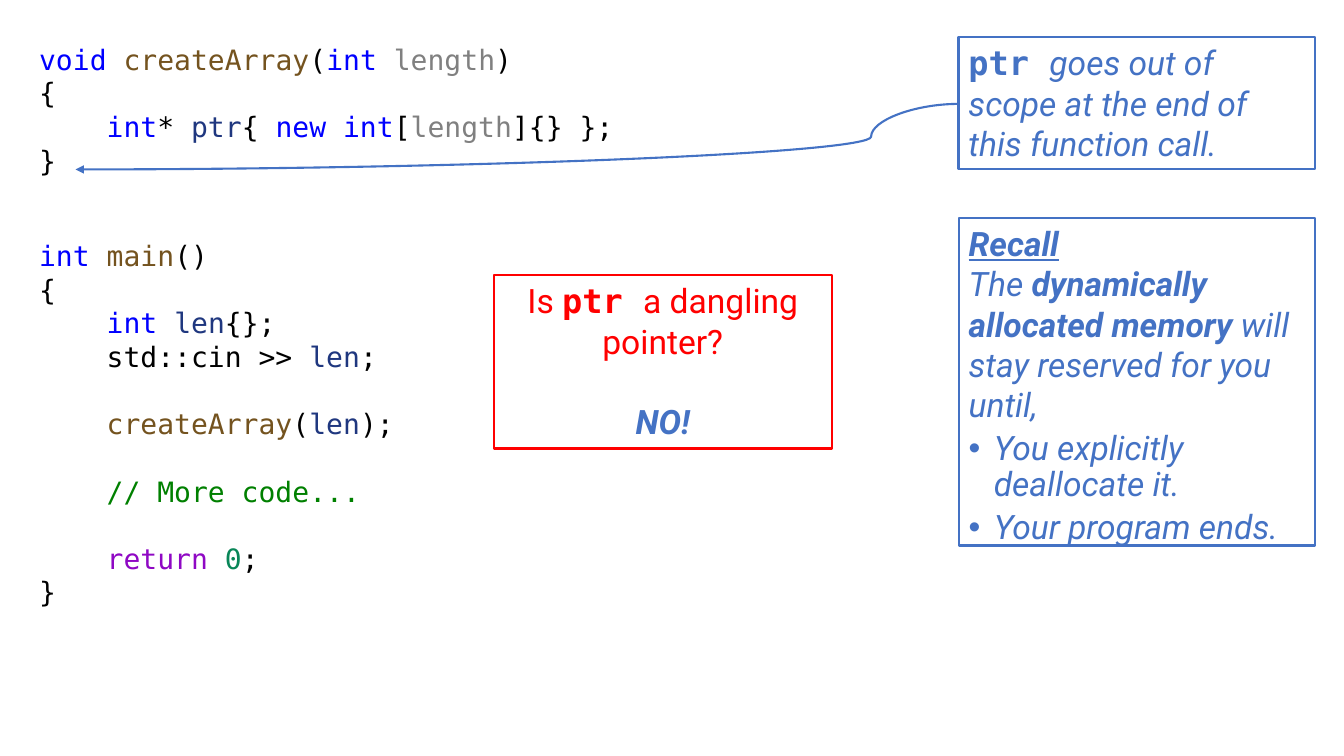
from dataclasses import dataclass
from lxml.etree import SubElement
from pptx import Presentation
from pptx.dml.color import RGBColor
from pptx.enum.shapes import MSO_CONNECTOR, MSO_SHAPE
from pptx.enum.text import MSO_ANCHOR, MSO_AUTO_SIZE, PP_ALIGN
from pptx.oxml.ns import qn
from pptx.util import Pt


@dataclass(frozen=True)
class Theme:
    blue: str = "4472C4"
    red: str = "FF0000"
    plain: str = "000000"
    word: str = "0000FF"
    call: str = "74531F"
    param: str = "808080"
    local: str = "1F377F"
    remark: str = "008000"
    flow: str = "8F08C4"
    digit: str = "098658"
    mono: str = "DejaVu Sans Mono"
    sans: str = "Roboto"
    small: int = 20
    large: int = 24
    stroke: float = 1.5


THEME = Theme()
GAP = 24

MAKER = [
    (0, [("void ", "word"), ("createArray", "call"), ("(", "plain"),
         ("int ", "word"), ("length", "param"), (")", "plain")]),
    (0, [("{", "plain")]),
    (0, [("    int", "word"), ("* ", "plain"), ("ptr", "local"), ("{ ", "plain"),
         ("new int", "word"), ("[", "plain"), ("length", "param"), ("]{} };", "plain")]),
    (0, [("}", "plain")]),
]

CALLER = [
    (0, [("int ", "word"), ("main", "call"), ("()", "plain")]),
    (0, [("{", "plain")]),
    (0, [("    int ", "word"), ("len", "local"), ("{};", "plain")]),
    (0, [("    std::cin >> ", "plain"), ("len", "local"), (";", "plain")]),
    (GAP, [("    createArray", "call"), ("(", "plain"), ("len", "local"), (");", "plain")]),
    (GAP, [("    // More code...", "remark")]),
    (GAP, [("    return ", "flow"), ("0", "digit"), (";", "plain")]),
    (0, [("}", "plain")]),
]


def tint(name):
    return RGBColor.from_string(getattr(THEME, name))


def set_frame(shape):
    frame = shape.text_frame
    frame.word_wrap = True
    frame.auto_size = MSO_AUTO_SIZE.SHAPE_TO_FIT_TEXT
    frame.vertical_anchor = MSO_ANCHOR.TOP
    frame.margin_left = frame.margin_right = Pt(7.2)
    frame.margin_top = frame.margin_bottom = Pt(3.6)
    return frame


def next_par(frame):
    first = frame.paragraphs[0]
    return frame.add_paragraph() if first.runs else first


def add_code(slide, box, rows):
    frame = set_frame(slide.shapes.add_textbox(*map(Pt, box)))
    for gap, parts in rows:
        par = next_par(frame)
        if gap:
            par.space_before = Pt(gap)
        par.font.size = Pt(THEME.small)
        par.font.name = THEME.mono
        for text, role in parts:
            run = par.add_run()
            run.text = text
            run.font.color.rgb = tint(role)


def set_border(shape, hue):
    shape.fill.background()
    shape.line.color.rgb = tint(hue)
    shape.line.width = Pt(THEME.stroke)


def add_box(slide, box, hue):
    shape = slide.shapes.add_shape(MSO_SHAPE.RECTANGLE, *map(Pt, box))
    shape.shadow.inherit = False
    set_border(shape, hue)
    return set_frame(shape)


def set_bullet(par, mark):
    props = par._p.get_or_add_pPr()
    props.set("marL", str(Pt(18) if mark else 0))
    props.set("indent", str(-Pt(18) if mark else 0))
    if mark:
        SubElement(props, qn("a:buFont"), typeface="Arial")
        SubElement(props, qn("a:buChar"), char="•")
    else:
        SubElement(props, qn("a:buNone"))


def add_note(frame, parts, hue, slant=False, align=PP_ALIGN.LEFT,
             before=0, lines=1.0, mark=False):
    par = next_par(frame)
    par.alignment = align
    par.space_before = Pt(before)
    par.line_spacing = lines
    set_bullet(par, mark)
    par.font.size = Pt(THEME.large)
    par.font.color.rgb = tint(hue)
    if slant:
        par.font.italic = True
    names = {THEME.mono if "m" in flags else THEME.sans for _, flags in parts}
    if len(names) == 1:
        par.font.name = names.pop()
    for text, flags in parts:
        run = par.add_run()
        run.text = text
        if names:
            run.font.name = THEME.mono if "m" in flags else THEME.sans
        if "m" in flags:
            run.font.italic = False
        if "b" in flags:
            run.font.bold = True
        if "u" in flags:
            run.font.underline = True


def add_recall(slide, box):
    body = slide.placeholders[1]
    body.left, body.top, body.width, body.height = map(Pt, box)
    set_border(body, "blue")
    frame = set_frame(body)
    add_note(frame, [("Recall", "bu")], "blue", slant=True)
    add_note(frame, [("The ", ""), ("dynamically allocated memory ", "b"),
                     ("will stay reserved for you until,", "")], "blue", slant=True)
    for text in ("You explicitly deallocate it.", "Your program ends."):
        add_note(frame, [(text, "")], "blue", slant=True, before=5, lines=0.9, mark=True)


def add_curve(slide, start, end, bend):
    curve = slide.shapes.add_connector(MSO_CONNECTOR.CURVE, *map(Pt, start + end))
    curve.line.color.rgb = tint("blue")
    curve.line.width = Pt(THEME.stroke)
    props = curve._element.spPr
    guides = props.find(qn("a:prstGeom")).get_or_add_avLst()
    SubElement(guides, qn("a:gd"), name="adj1", fmla=f"val {bend}")
    SubElement(props.find(qn("a:ln")), qn("a:tailEnd"), type="triangle")
    SubElement(props, qn("a:effectLst"))


def main():
    deck = Presentation()
    deck.slide_width, deck.slide_height = Pt(960), Pt(540)
    slide = deck.slides.add_slide(deck.slide_layouts[1])
    title = slide.shapes.title._element
    title.getparent().remove(title)

    add_code(slide, (20.9, 26.6, 429, 104.4), MAKER)
    add_code(slide, (20.9, 167, 429, 271.4), CALLER)

    scope = add_box(slide, (684.7, 26.6, 254.9, 94.3), "blue")
    add_note(scope, [("ptr ", "mb"), ("goes out of scope at the end of this function call.", "")],
             "blue", slant=True)
    add_recall(slide, (684.7, 155.5, 254.9, 241.2))
    add_curve(slide, (684.7, 74.2), (54, 121), 9900)

    query = add_box(slide, (352.8, 196.6, 241.2, 123.8), "red")
    add_note(query, [("Is ", ""), ("ptr ", "mb"), ("a dangling pointer?", "")],
             "red", align=PP_ALIGN.CENTER)
    add_note(query, [("NO!", "b")], "blue", slant=True, align=PP_ALIGN.CENTER, before=28.8)

    deck.save("out.pptx")


if __name__ == "__main__":
    main()
